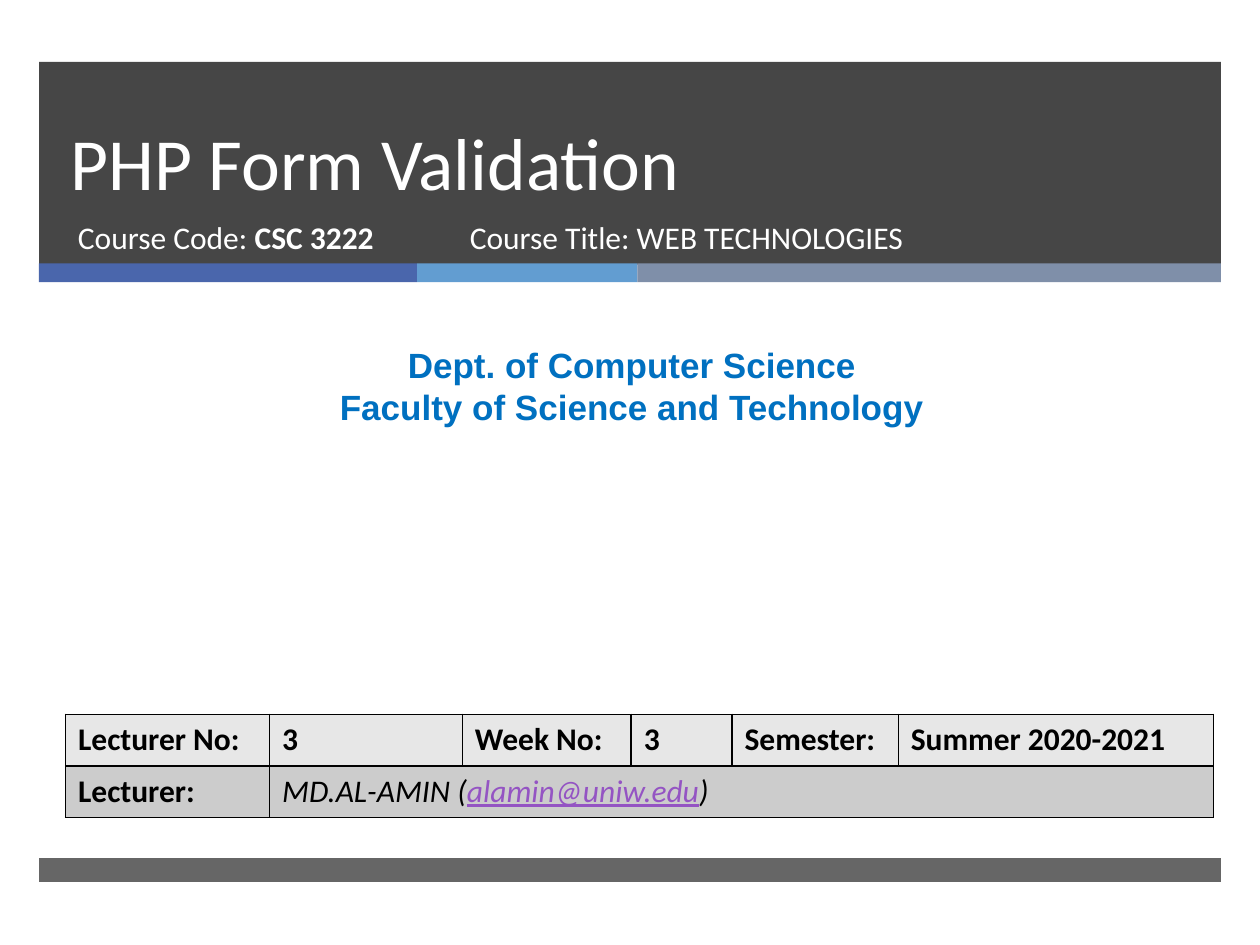
from lxml.etree import SubElement
from pptx import Presentation
from pptx.dml.color import RGBColor
from pptx.enum.shapes import MSO_SHAPE
from pptx.enum.text import MSO_ANCHOR, PP_ALIGN
from pptx.oxml.ns import qn
from pptx.util import Inches, Pt

WHITE, BLACK, DARK = "FFFFFF", "000000", "262626"
LEFT, WIDTH = 0.31, 9.38

# top, height, opacity in percent
BANDS = [(0.49, 1.61, 85), (6.81, 0.19, 70)]
STRIPE_TOP, STRIPE_HEIGHT = 2.09, 0.15
STRIPES = [(3, "4A66AC"), (1.75, "629DD1"), (4.63, "7F8FA9")]

TITLE = "PHP Form Validation"
# Spans are (text, font settings)
COURSE_CODE = [("Course Code: ", {}), ("CSC 3222", {"bold": True})]
COURSE_TITLE = [("Course Title: WEB TECHNOLOGIES", {})]
DEPARTMENT = ["Dept. of Computer Science", "Faculty of Science and Technology"]

COLUMNS = [1.62, 1.53, 1.34, 0.8, 1.32, 2.5]
ROW_HEIGHT = 0.41
ROW_FILLS = ["E7E7E7", "CCCCCC"]
BOLD, ITALIC = {"bold": True}, {"italic": True}
LECTURER = [
    ("MD.AL-AMIN (", ITALIC),
    ("alamin@uniw.edu", {"italic": True, "underline": True, "color": "9454C3"}),
    (")", ITALIC),
]
ROWS = [
    [[(label, BOLD)] for label in
     ("Lecturer No:", "3", "Week No:", "3", "Semester:", "Summer 2020-2021")],
    [[("Lecturer:", BOLD)], LECTURER],
]


def rgb(color):
    return RGBColor.from_string(color)


def set_font(font, size, color, name="Calibri"):
    font.size, font.name = Pt(size), name
    font.color.rgb = rgb(color)


def add_bar(slide, left, top, width, height, color, opacity=100):
    bar = slide.shapes.add_shape(MSO_SHAPE.RECTANGLE, Inches(left), Inches(top),
                                 Inches(width), Inches(height))
    bar.shadow.inherit = False
    bar.line.fill.background()
    bar.fill.solid()
    bar.fill.fore_color.rgb = rgb(color)
    if opacity < 100:
        fill_color = bar.fill._xPr.find(qn("a:solidFill"))[0]
        SubElement(fill_color, qn("a:alpha"), val=str(opacity * 1000))


def add_box(slide, left, top, width, height):
    box = slide.shapes.add_textbox(Inches(left), Inches(top), Inches(width), Inches(height))
    box.text_frame.word_wrap = True
    return box.text_frame


def write_spans(frame, spans, color):
    para = frame.paragraphs[0]
    set_font(para.font, 18, color)
    for text, settings in spans:
        span = para.add_run()
        span.text = text
        set_font(span.font, 18, settings.get("color", color))
        span.font.bold = settings.get("bold", False)
        span.font.italic = settings.get("italic", False)
        span.font.underline = settings.get("underline", False)


def add_borders(cell):
    properties = cell._tc.get_or_add_tcPr()
    for position, side in enumerate(("a:lnL", "a:lnR", "a:lnT", "a:lnB")):
        line = properties.makeelement(qn(side), {"w": str(Pt(1))})
        SubElement(SubElement(line, qn("a:solidFill")), qn("a:srgbClr"), val=BLACK)
        properties.insert(position, line)


def add_lecture_table(slide):
    table = slide.shapes.add_table(len(ROWS), len(COLUMNS), Inches(0.52), Inches(5.67),
                                   Inches(sum(COLUMNS)), Inches(ROW_HEIGHT * len(ROWS))).table
    for column, width in zip(table.columns, COLUMNS):
        column.width = Inches(width)
    table.cell(1, 1).merge(table.cell(1, len(COLUMNS) - 1))
    for row, contents, fill in zip(table.rows, ROWS, ROW_FILLS):
        row.height = Inches(ROW_HEIGHT)
        for cell in row.cells:
            cell.fill.solid()
            cell.fill.fore_color.rgb = rgb(fill)
            add_borders(cell)
        for cell, spans in zip(row.cells, contents):
            write_spans(cell.text_frame, spans, BLACK)


def main():
    deck = Presentation()
    deck.slide_width, deck.slide_height = Inches(10), Inches(7.5)
    slide = deck.slides.add_slide(deck.slide_layouts[5])

    for top, height, opacity in BANDS:
        add_bar(slide, LEFT, top, WIDTH, height, DARK, opacity)
    left = LEFT
    for width, color in STRIPES:
        add_bar(slide, left, STRIPE_TOP, width, STRIPE_HEIGHT, color)
        left += width

    title = slide.shapes.title
    title.left, title.top = Inches(0.46), Inches(0.49)
    title.width, title.height = Inches(8.54), Inches(1.19)
    title.text_frame.text = TITLE
    title.text_frame.vertical_anchor = MSO_ANCHOR.BOTTOM
    para = title.text_frame.paragraphs[0]
    para.alignment, para.line_spacing = PP_ALIGN.LEFT, Pt(46)
    set_font(para.font, 42, WHITE)
    # Bring the title in front of the dark band
    slide.shapes._spTree.append(title._element)

    write_spans(add_box(slide, 0.52, 1.68, 3.05, 0.53), COURSE_CODE, WHITE)
    write_spans(add_box(slide, 3.63, 1.68, 4.55, 0.53), COURSE_TITLE, WHITE)

    frame = add_box(slide, 0.08, 2.68, 9.87, 0.77)
    frame.text = "\n".join(DEPARTMENT)
    for para in frame.paragraphs:
        para.alignment = PP_ALIGN.CENTER
        set_font(para.font, 20, "0070C0", "Arial")
        para.font.bold = True

    add_lecture_table(slide)
    deck.save("out.pptx")


if __name__ == "__main__":
    main()
